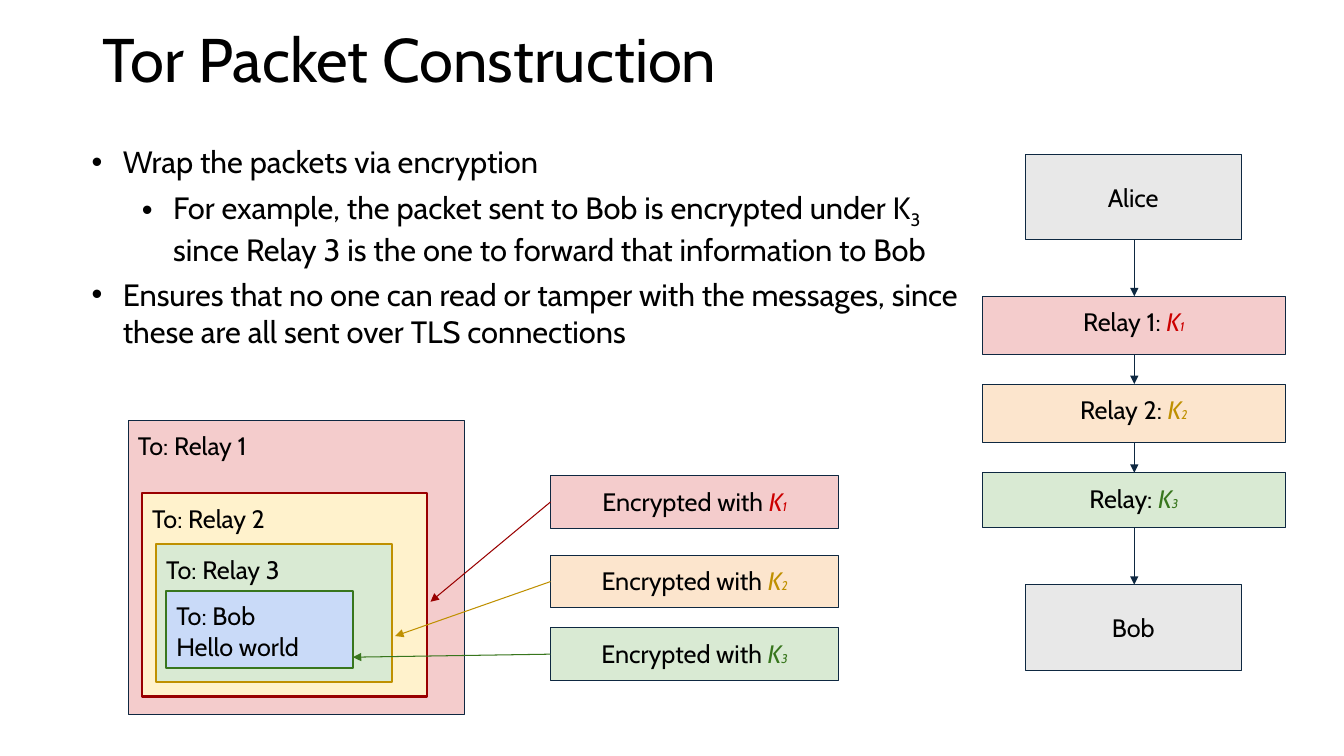
"""Build the slide on Tor packet construction."""
from pptx import Presentation
from pptx.dml.color import RGBColor
from pptx.enum.shapes import MSO_CONNECTOR as CONN, MSO_SHAPE as SHAPE
from pptx.enum.text import MSO_ANCHOR as ANCHOR, PP_ALIGN as ALIGN
from pptx.oxml.ns import qn
from pptx.util import Pt
from lxml.etree import SubElement

PX = 9144
BLACK = RGBColor(0x00, 0x00, 0x00)
NAVY = RGBColor(0x0E, 0x28, 0x41)
GRAY = RGBColor(0xE8, 0xE8, 0xE8)
PINK = RGBColor(0xF4, 0xCC, 0xCC)
PEACH = RGBColor(0xFC, 0xE5, 0xCD)
CREAM = RGBColor(0xFF, 0xF2, 0xCC)
MINT = RGBColor(0xD9, 0xEA, 0xD3)
SKY = RGBColor(0xC9, 0xDA, 0xF8)
RED = RGBColor(0xCC, 0x00, 0x00)
MAROON = RGBColor(0x99, 0x00, 0x00)
GOLD = RGBColor(0xBF, 0x90, 0x00)
GREEN = RGBColor(0x38, 0x76, 0x1D)


def add_run(p, text, size=18, color=BLACK, italic=None, base=None):
    r = p.add_run()
    r.text = text
    r.font.name = "Cabin"
    r.font.size = Pt(size)
    r.font.color.rgb = color
    r.font.italic = italic
    if base:
        r.font._element.set("baseline", str(base * 1000))


def add_box(x, y, w, h, lines, fill, line=NAVY, weight=0.75,
            align=ALIGN.CENTER, anchor=ANCHOR.TOP, key=None, key_color=None):
    sp = s.shapes.add_shape(SHAPE.RECTANGLE, x * PX, y * PX, w * PX, h * PX)
    sp.shadow.inherit = False
    sp.fill.solid()
    sp.fill.fore_color.rgb = fill
    sp.line.color.rgb = line
    sp.line.width = Pt(weight)
    tf = sp.text_frame
    tf.word_wrap = True
    tf.vertical_anchor = anchor
    tf.margin_left = tf.margin_right = tf.margin_top = tf.margin_bottom = 10 * PX
    for i, text in enumerate(lines):
        p = tf.add_paragraph() if i else tf.paragraphs[0]
        p.alignment = align
        add_run(p, text)
    if key:
        add_run(p, "K", color=key_color, italic=True)
        add_run(p, key, size=9, color=key_color, italic=True)


prs = Presentation()
prs.slide_width, prs.slide_height = 1333 * PX, 750 * PX
s = prs.slides.add_slide(prs.slide_layouts[6])

tf = s.shapes.add_textbox(92 * PX, 16 * PX, 1150 * PX, 93 * PX).text_frame
tf.word_wrap = True
tf.vertical_anchor = ANCHOR.MIDDLE
p = tf.paragraphs[0]
p.line_spacing = 0.9
add_run(p, "Tor Packet Construction", size=44)

bullets = [
    (0, [("Wrap the packets via encryption", None)]),
    (1, [("For example, the packet sent to Bob is encrypted under K", None),
         ("3", -25),
         (" since Relay 3 is the one to forward that information to Bob", None)]),
    (0, [("Ensures that no one can read or tamper with the messages, "
          "since these are all sent over TLS connections", None)]),
]
tf = s.shapes.add_textbox(81 * PX, 137 * PX, 882 * PX, 212 * PX).text_frame
tf.word_wrap = True
for i, (level, runs) in enumerate(bullets):
    p = tf.add_paragraph() if i else tf.paragraphs[0]
    p.level = level
    p.space_after = Pt(6)
    pPr = p._p.get_or_add_pPr()
    pPr.set("marL", str((31 + 50 * level) * PX))
    pPr.set("indent", str(-31 * PX))
    SubElement(pPr, qn("a:buFont")).set("typeface", "Arial")
    SubElement(pPr, qn("a:buChar")).set("char", "•")
    for text, base in runs:
        add_run(p, text, size=22, base=base)

for name, y in [("Alice", 153), ("Bob", 580)]:
    add_box(1017, y, 214, 85, [name], GRAY, anchor=ANCHOR.MIDDLE)

keys = [
    ("1", "Relay 1: ", 294, 58, 472, PINK, RED),
    ("2", "Relay 2: ", 381, 58, 551, PEACH, GOLD),
    ("3", "Relay: ", 469, 54, 623, MINT, GREEN),
]
for key, relay, relay_y, relay_h, label_y, fill, color in keys:
    add_box(974, relay_y, 301, relay_h, [relay], fill, key=key, key_color=color)
    add_box(546, label_y, 286, 52, ["Encrypted with "], fill, key=key, key_color=color)

layers = [
    (127, 417, 334, 292, ["To: Relay 1"], PINK, NAVY, 0.75),
    (141, 489, 283, 202, ["To: Relay 2"], CREAM, MAROON, 1.5),
    (155, 540, 234, 137, ["To: Relay 3"], MINT, GOLD, 1.5),
    (165, 586, 185, 77, ["To: Bob", "Hello world"], SKY, GREEN, 1.5),
]
for layer in layers:
    add_box(*layer, align=ALIGN.LEFT)

arrows = [(1125, y1, 1125, y2, NAVY)
          for y1, y2 in [(238, 294), (352, 381), (439, 469), (523, 580)]]
arrows += [
    (546, 498, 427, 597, MAROON),
    (546, 577, 392, 631, GOLD),
    (546, 649, 350, 652, GREEN),
]
for x1, y1, x2, y2, color in arrows:
    c = s.shapes.add_connector(CONN.STRAIGHT, x1 * PX, y1 * PX, x2 * PX, y2 * PX)
    c.line.color.rgb = color
    c.line.width = Pt(0.75)
    SubElement(c.line._get_or_add_ln(), qn("a:tailEnd")).set("type", "triangle")
    SubElement(c._element.spPr, qn("a:effectLst"))

prs.save("out.pptx")
